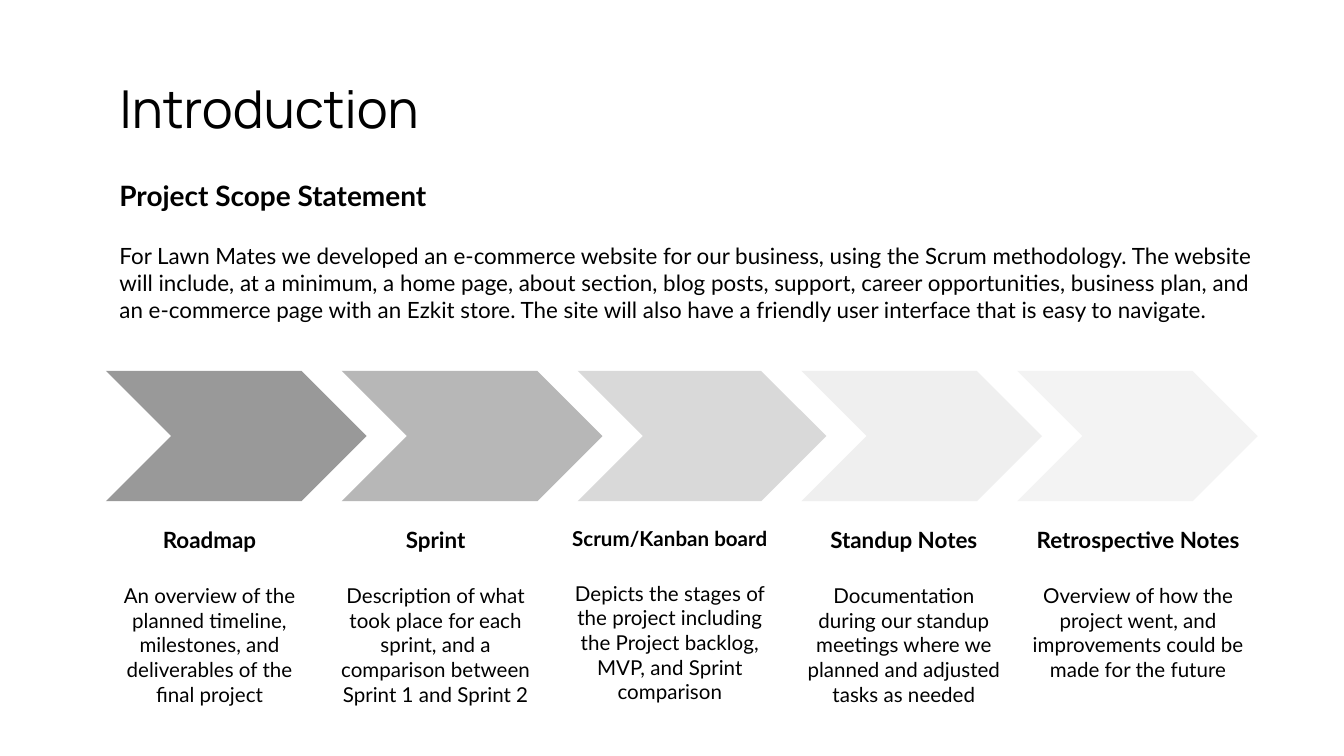
from pptx import Presentation
from pptx.dml.color import RGBColor as RGB
from pptx.enum.shapes import MSO_SHAPE as SHAPE
from pptx.enum.text import MSO_ANCHOR as ANCHOR, MSO_AUTO_SIZE as AUTO, PP_ALIGN as ALIGN
from pptx.util import Inches, Pt

WIDE = Inches(10)
HIGH = WIDE * 9 // 16
CELL = WIDE / 100  # square grid, 100 columns across the slide

BLACK = RGB(0x00, 0x00, 0x00)
GRAYS = [RGB(n, n, n) for n in (0x99, 0xB7, 0xD9, 0xEF, 0xF3)]

# Column and row positions, in grid cells
EDGE = 7.9
ARROW_LEFT, ARROW_TOP, ARROW_HIGH, OVERLAP = 7.88, 27.6, 9.7, 1.85
NOTE_LEFT, NOTE_TOP, NOTE_HIGH, NOTE_GAP = 7.3, 38.15, 19.5, 0.22

SCOPE = (
    "For Lawn Mates we developed an e-commerce website for our business, "
    "using the Scrum methodology. The website will include, at a minimum, "
    "a home page, about section, blog posts, support, career opportunities, "
    "business plan, and an e-commerce page with an Ezkit store. The site will "
    "also have a friendly user interface that is easy to navigate."
)

# Heading, heading size, detail, arrow width, note width
STAGES = [
    ("Roadmap", 12, "An overview of the planned timeline, milestones, "
     "and deliverables of the final project", 19.4, 16.6),
    ("Sprint", 12, "Description of what took place for each sprint, "
     "and a comparison between Sprint 1 and Sprint 2", 19.4, 16.6),
    ("Scrum/Kanban board", 11, "Depicts the stages of the project including "
     "the Project backlog, MVP, and Sprint comparison", 18.5, 17.8),
    ("Standup Notes", 12, "Documentation during our standup meetings where "
     "we planned and adjusted tasks as needed", 17.9, 16.6),
    ("Retrospective Notes", 12, "Overview of how the project went, and "
     "improvements could be made for the future", 17.9, 17.8),
]


def grid(*cells):
    return [round(n * CELL) for n in cells]


def style(item, **values):
    for name, value in values.items():
        setattr(item, name, value)


def set_frame(frame):
    inset = Inches(0.1)
    style(frame, word_wrap=True, auto_size=AUTO.NONE, vertical_anchor=ANCHOR.TOP,
          margin_left=inset, margin_right=inset,
          margin_top=inset, margin_bottom=inset)


def write(para, text, size, bold=False, face="Lato", align=ALIGN.LEFT):
    run = para.add_run()
    run.text = text
    para.alignment = align
    style(run.font, name=face, size=Pt(size), bold=bold)
    run.font.color.rgb = BLACK


def add_title(slide, text):
    title = slide.shapes.title
    left, top, width, height = grid(EDGE, 4.7, 84.3, 6.3)
    style(title, left=left, top=top, width=width, height=height)
    set_frame(title.text_frame)
    write(title.text_frame.paragraphs[0], text, 28, face="Manrope")


def add_note(slide, place, head, head_size, body, body_size, align):
    frame = slide.shapes.add_textbox(*grid(*place)).text_frame
    set_frame(frame)
    write(frame.paragraphs[0], head, head_size, bold=True, align=align)
    para = frame.add_paragraph()
    style(para, space_before=Pt(16), space_after=Pt(16))
    write(para, body, body_size, align=align)


def add_arrow(slide, place, color):
    arrow = slide.shapes.add_shape(SHAPE.CHEVRON, *grid(*place))
    arrow.shadow.inherit = False
    arrow.fill.solid()
    arrow.fill.fore_color.rgb = color
    arrow.line.fill.background()


def add_stages(slide):
    arrow_x, note_x = ARROW_LEFT, NOTE_LEFT
    for (head, size, body, arrow_w, note_w), gray in zip(STAGES, GRAYS):
        add_arrow(slide, (arrow_x, ARROW_TOP, arrow_w, ARROW_HIGH), gray)
        add_note(slide, (note_x, NOTE_TOP, note_w, NOTE_HIGH),
                 head, size, body, 11, ALIGN.CENTER)
        arrow_x += arrow_w - OVERLAP
        note_x += note_w + NOTE_GAP


def main():
    deck = Presentation()
    style(deck, slide_width=WIDE, slide_height=HIGH)
    slide = deck.slides.add_slide(deck.slide_layouts[5])
    # Title and scope statement
    add_title(slide, "Introduction")
    add_note(slide, (EDGE, 12.3, 87.5, 13.1),
             "Project Scope Statement", 15, SCOPE, 12, ALIGN.LEFT)
    # Row of stages
    add_stages(slide)
    deck.save("out.pptx")


if __name__ == "__main__":
    main()
